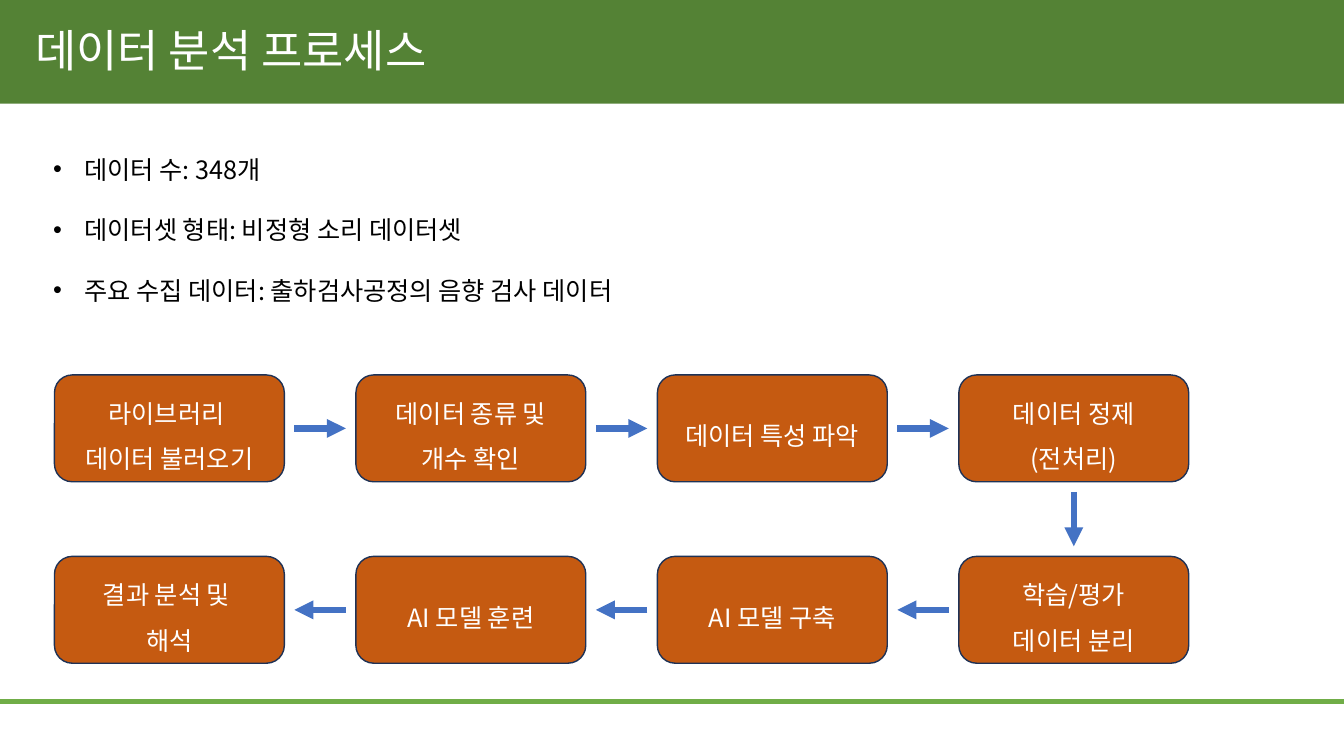
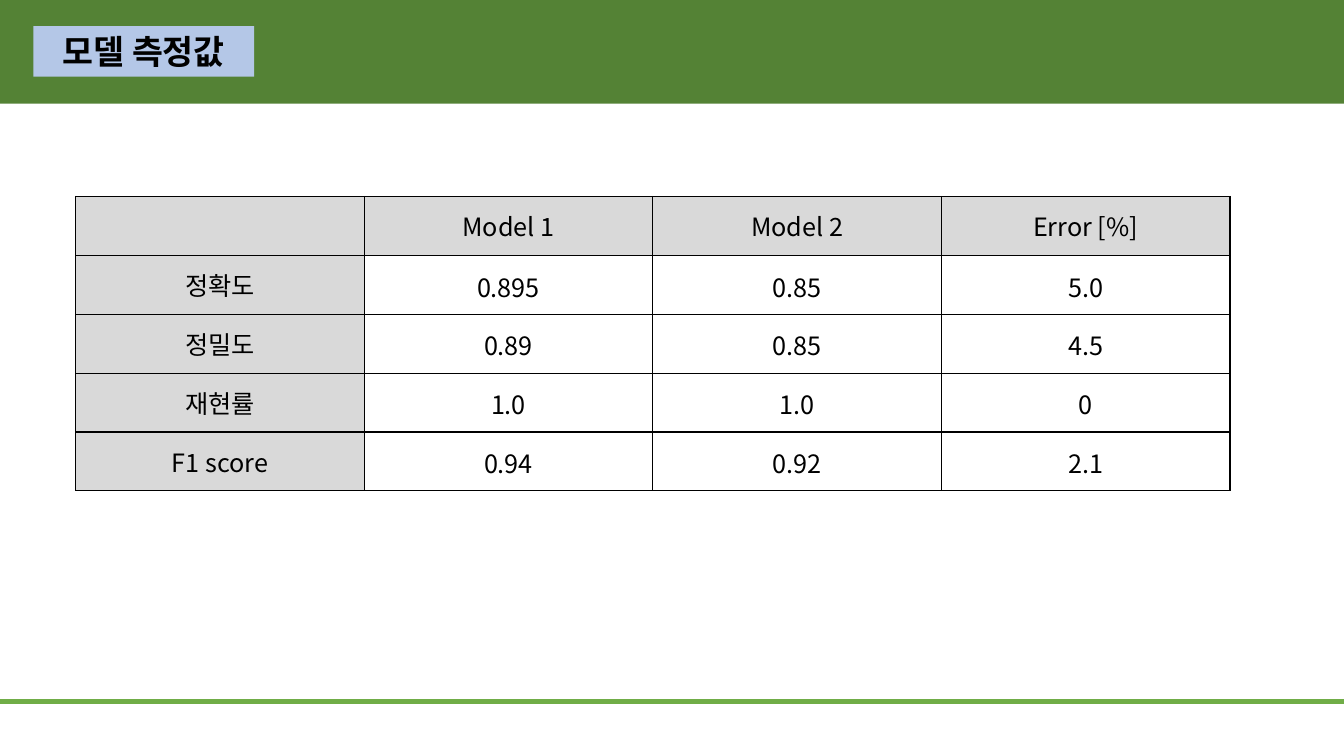
from dataclasses import dataclass
from itertools import pairwise

from lxml.etree import SubElement
from pptx import Presentation
from pptx.dml.color import RGBColor
from pptx.enum.shapes import MSO_CONNECTOR, MSO_SHAPE
from pptx.enum.text import MSO_ANCHOR, PP_ALIGN
from pptx.oxml.ns import qn
from pptx.util import Inches, Pt

# Content
FLOW_TITLE = "데이터 분석 프로세스"
FACTS = [
    "데이터 수: 348개",
    "데이터셋 형태: 비정형 소리 데이터셋",
    "주요 수집 데이터: 출하검사공정의 음향 검사 데이터",
]
STEPS = [
    ["라이브러리 ", "데이터 불러오기"],
    ["데이터 종류 및 개수 확인"],
    ["데이터 특성 파악"],
    ["데이터 정제", "(전처리)"],
    ["학습/평가", "데이터 분리"],
    ["AI 모델 구축"],
    ["AI 모델 훈련"],
    ["결과 분석 및 ", "해석"],
]
SCORE_TITLE = "모델 측정값"
SCORES = [
    ["", "Model 1", "Model 2", "Error [%]"],
    ["정확도", "0.895", "0.85", "5.0"],
    ["정밀도", "0.89", "0.85", "4.5"],
    ["재현률", "1.0", "1.0", "0"],
    ["F1 score", "0.94", "0.92", "2.1"],
]


@dataclass(frozen=True)
class Theme:
    font: str = "Noto Sans CJK KR"
    band: str = "548235"
    foot: str = "70AD47"
    step: str = "C55A11"
    edge: str = "1E3256"
    arrow: str = "4472C4"
    label: str = "B4C7E7"
    head: str = "D9D9D9"
    ink: str = "000000"
    paper: str = "FFFFFF"
    title: int = 32
    tag: int = 24
    body: int = 18


T = Theme()
WIDE, HIGH = 13.33, 7.5

# Step grid: four columns, read left to right and then back
COLS = 4
LEFT, TOP = 0.54, 3.72
BOX_W, BOX_H = 2.28, 1.06
STEP_X, STEP_Y = 2.99, 1.8
GAP = 0.1


def rgb(code):
    return RGBColor.from_string(code)


def write(frame, lines, size, color, align=PP_ALIGN.LEFT, bold=False, space=None):
    """Fill a text frame with one paragraph per line."""
    frame.word_wrap = True
    for i, line in enumerate(lines):
        para = frame.add_paragraph() if i else frame.paragraphs[0]
        para.text = line
        para.alignment = align
        if space:
            para.line_spacing = space
        font = para.font
        font.size, font.bold, font.name = Pt(size), bold, T.font
        font.color.rgb = rgb(color)
        latin = para._p.pPr.find(qn("a:defRPr")).find(qn("a:latin"))
        asian = latin.makeelement(qn("a:ea"), {"typeface": T.font})
        latin.addnext(asian)


def bullet(para):
    props = para._p.get_or_add_pPr()
    props.set("marL", str(Inches(0.31)))
    props.set("indent", str(-Inches(0.31)))
    mark = props.makeelement(qn("a:buChar"), {"char": "•"})
    face = props.makeelement(qn("a:buFont"), {"typeface": "Arial"})
    base = props.find(qn("a:defRPr"))
    base.addprevious(face)
    base.addprevious(mark)


def text_box(slide, *box):
    return slide.shapes.add_textbox(*map(Inches, box)).text_frame


def block(slide, kind, box, fill, edge=None):
    shape = slide.shapes.add_shape(kind, *map(Inches, box))
    shape.shadow.inherit = False
    shape.fill.solid()
    shape.fill.fore_color.rgb = rgb(fill)
    if edge:
        shape.line.color.rgb = rgb(edge)
        shape.line.width = Pt(1)
    else:
        shape.line.fill.background()
    return shape.text_frame


def rule(slide, start, end, color, width, arrow=False):
    line = slide.shapes.add_connector(
        MSO_CONNECTOR.STRAIGHT, *map(Inches, (*start, *end)))
    line.line.color.rgb = rgb(color)
    line.line.width = Pt(width)
    if arrow:
        SubElement(line.line._get_or_add_ln(), qn("a:tailEnd"), type="triangle")
    SubElement(line._element.spPr, qn("a:effectLst"))


def new_slide(deck):
    """Blank slide with the shared top band and foot line."""
    slide = deck.slides.add_slide(deck.slide_layouts[6])
    block(slide, MSO_SHAPE.RECTANGLE, (0, 0, WIDE, 1.03), T.band)
    rule(slide, (0, 6.96), (WIDE, 6.96), T.foot, 3)
    return slide


def place(i):
    """Left and top of step i on the winding path."""
    row, col = divmod(i, COLS)
    if row % 2:
        col = COLS - 1 - col
    return LEFT + col * STEP_X, TOP + row * STEP_Y


def join(slide, a, b):
    """Arrow between two neighbouring steps."""
    (ax, ay), (bx, by) = a, b
    mid_x, mid_y = BOX_W / 2, BOX_H / 2
    dx = (bx > ax) - (bx < ax)
    dy = (by > ay) - (by < ay)
    off_x, off_y = dx * (mid_x + GAP), dy * (mid_y + GAP)
    start = ax + mid_x + off_x, ay + mid_y + off_y
    end = bx + mid_x - off_x, by + mid_y - off_y
    rule(slide, start, end, T.arrow, 4.5, arrow=True)


def flow_slide(deck):
    slide = new_slide(deck)
    write(text_box(slide, 0.25, 0.18, 7.77, 0.64), [FLOW_TITLE], T.title, T.paper)

    # Facts
    facts = text_box(slide, 0.43, 1.18, 8.47, 1.82)
    write(facts, FACTS, T.body, T.ink, space=2.0)
    for para in facts.paragraphs:
        bullet(para)

    # Steps and arrows
    spots = [place(i) for i in range(len(STEPS))]
    for spot, lines in zip(spots, STEPS):
        frame = block(slide, MSO_SHAPE.ROUNDED_RECTANGLE,
                      (*spot, BOX_W, BOX_H), T.step, T.edge)
        write(frame, lines, T.body, T.paper, PP_ALIGN.CENTER, space=1.5)
    for a, b in pairwise(spots):
        join(slide, a, b)


def border(cell):
    props = cell._tc.get_or_add_tcPr()
    for side in ("lnL", "lnR", "lnT", "lnB"):
        line = SubElement(props, qn(f"a:{side}"), w=str(Pt(1)))
        fill = SubElement(line, qn("a:solidFill"))
        SubElement(fill, qn("a:srgbClr"), val=T.ink)


def score_slide(deck):
    slide = new_slide(deck)
    tag = block(slide, MSO_SHAPE.RECTANGLE, (0.33, 0.26, 2.19, 0.5), T.label)
    write(tag, [SCORE_TITLE], T.tag, T.ink, PP_ALIGN.CENTER, bold=True)

    # Score table
    box = map(Inches, (0.75, 1.95, 11.45, 2.92))
    table = slide.shapes.add_table(len(SCORES), len(SCORES[0]), *box).table
    table.first_row = table.horz_banding = False
    for r, row in enumerate(SCORES):
        for c, value in enumerate(row):
            cell = table.cell(r, c)
            border(cell)
            cell.vertical_anchor = MSO_ANCHOR.MIDDLE
            write(cell.text_frame, [value], T.body, T.ink, PP_ALIGN.CENTER)
            if r == 0 or c == 0:
                cell.fill.solid()
                cell.fill.fore_color.rgb = rgb(T.head)
            else:
                cell.fill.background()
                cell.margin_left = cell.margin_right = Inches(0.07)
                cell.margin_top = cell.margin_bottom = 0
                para = cell.text_frame.paragraphs[0]
                para.line_spacing = 1.07
                para.space_after = Pt(8)


def main():
    deck = Presentation()
    deck.slide_width, deck.slide_height = Inches(WIDE), Inches(HIGH)
    flow_slide(deck)
    score_slide(deck)
    deck.save("out.pptx")


if __name__ == "__main__":
    main()
